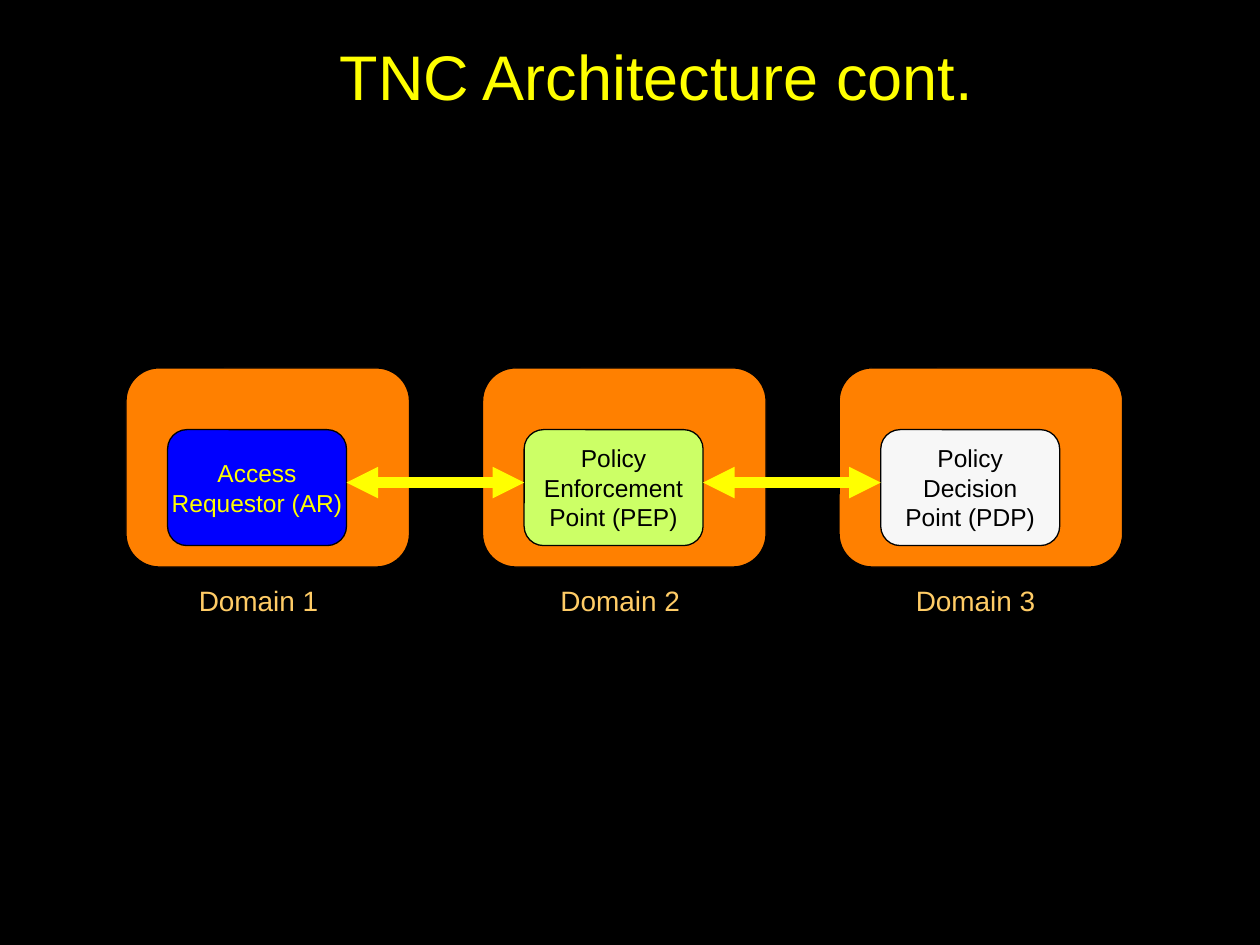
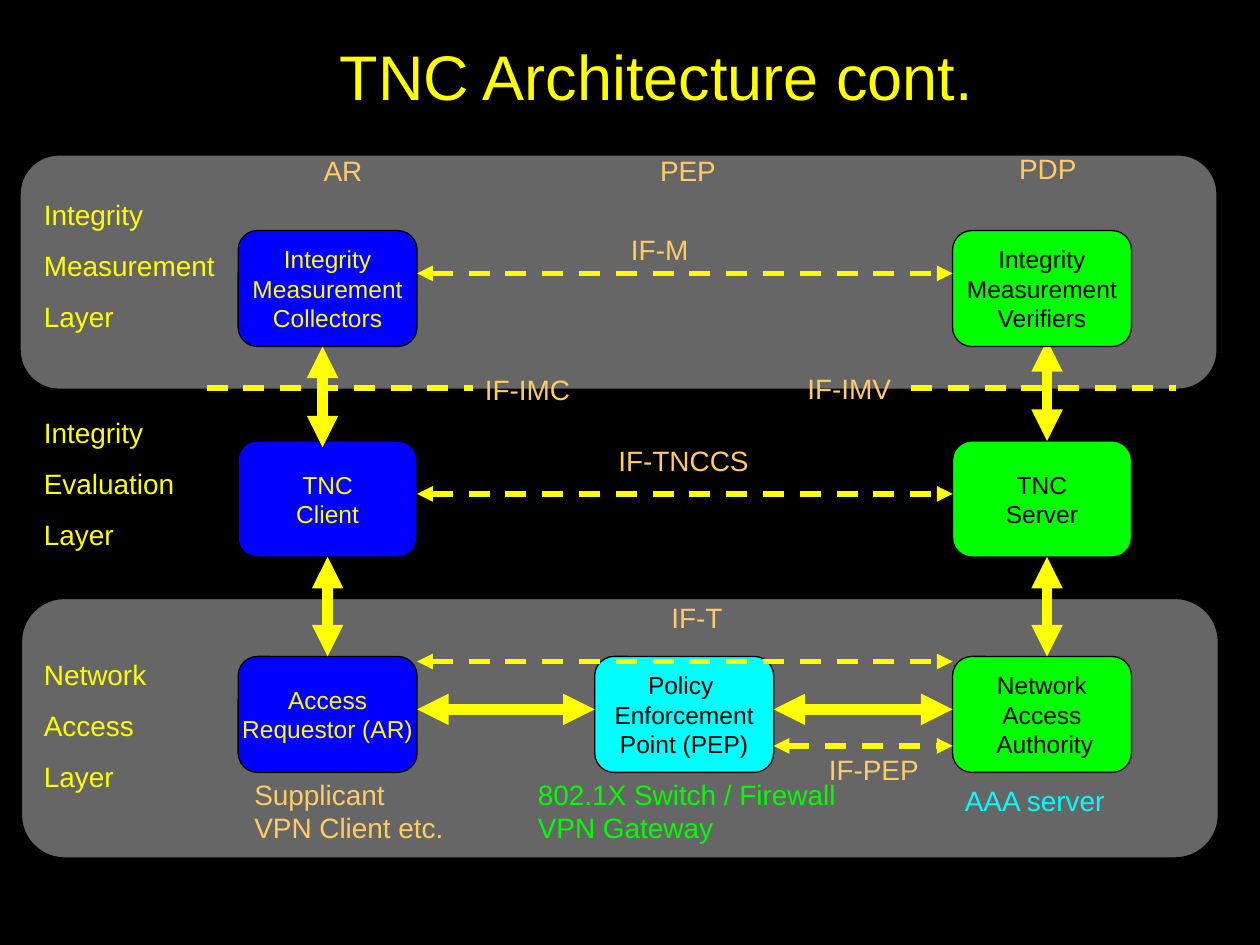
from dataclasses import dataclass

from lxml.etree import SubElement
from pptx import Presentation
from pptx.dml.color import RGBColor
from pptx.enum.dml import MSO_LINE
from pptx.enum.shapes import MSO_CONNECTOR, MSO_SHAPE
from pptx.enum.text import MSO_ANCHOR, MSO_AUTO_SIZE, PP_ALIGN
from pptx.oxml.ns import qn
from pptx.shapes.autoshape import Shape
from pptx.shapes.connector import Connector
from pptx.slide import Slide
from pptx.text.text import TextFrame
from pptx.util import Inches, Pt


@dataclass(frozen=True)
class Theme:
    font: str = "Arial"
    black: str = "000000"
    yellow: str = "FFFF00"
    sand: str = "FFCC66"
    orange: str = "FF8000"
    blue: str = "0000FF"
    lime: str = "CCFF66"
    white: str = "F7F7F7"
    green: str = "00FF00"
    cyan: str = "00FFFF"
    grey: str = "666666"
    title_size: int = 36
    label_size: int = 16
    box_size: int = 14
    outline: float = 0.75
    arrow_width: float = 6
    dash_width: float = 3


THEME = Theme()
TITLE = "TNC Architecture cont."
BOX_WIDTH, BOX_HEIGHT = 1.42, 0.92
LINE_HEIGHT = 0.27


@dataclass(frozen=True)
class Panel:
    """A rounded rectangle without text."""
    left: float
    top: float
    width: float
    height: float
    fill: str


@dataclass(frozen=True)
class Component:
    """A box of the architecture, all of one size."""
    left: float
    top: float
    text: str
    fill: str
    color: str = THEME.black


@dataclass(frozen=True)
class Label:
    left: float
    top: float
    width: float
    text: str
    color: str = THEME.sand
    size: int = THEME.label_size
    align: PP_ALIGN = PP_ALIGN.LEFT
    wrap: bool = False
    gap: float = 0


@dataclass(frozen=True)
class Link:
    start: tuple[float, float]
    end: tuple[float, float]
    dashed: bool = False
    arrows: bool = True


def write_text(frame: TextFrame, text: str, color: str, size: int,
               align: PP_ALIGN, gap: float = 0) -> None:
    for index, line in enumerate(text.split("\n")):
        para = frame.add_paragraph() if index else frame.paragraphs[0]
        para.text = line
        para.alignment = align
        if index and gap:
            para.space_before = Pt(gap)
        para.font.name = THEME.font
        para.font.size = Pt(size)
        para.font.color.rgb = RGBColor.from_string(color)


def add_panel(page: Slide, panel: Panel) -> Shape:
    shape = page.shapes.add_shape(
        MSO_SHAPE.ROUNDED_RECTANGLE, Inches(panel.left), Inches(panel.top),
        Inches(panel.width), Inches(panel.height))
    shape.shadow.inherit = False
    shape.fill.solid()
    shape.fill.fore_color.rgb = RGBColor.from_string(panel.fill)
    shape.line.color.rgb = RGBColor.from_string(THEME.black)
    shape.line.width = Pt(THEME.outline)
    return shape


def add_component(page: Slide, item: Component) -> Shape:
    box = add_panel(page, Panel(item.left, item.top, BOX_WIDTH, BOX_HEIGHT, item.fill))
    frame = box.text_frame
    frame.word_wrap = False
    frame.vertical_anchor = MSO_ANCHOR.MIDDLE
    write_text(frame, item.text, item.color, THEME.box_size, PP_ALIGN.CENTER)
    return box


def add_label(page: Slide, label: Label) -> None:
    height = 0.1 + LINE_HEIGHT * len(label.text.split("\n"))
    box = page.shapes.add_textbox(Inches(label.left), Inches(label.top),
                                  Inches(label.width), Inches(height))
    frame = box.text_frame
    frame.word_wrap = label.wrap
    frame.auto_size = MSO_AUTO_SIZE.SHAPE_TO_FIT_TEXT
    write_text(frame, label.text, label.color, label.size, label.align, label.gap)


def add_link(page: Slide, link: Link) -> Connector:
    points = [Inches(value) for value in (*link.start, *link.end)]
    connector = page.shapes.add_connector(MSO_CONNECTOR.STRAIGHT, *points)
    line = connector.line
    line.color.rgb = RGBColor.from_string(THEME.yellow)
    line.width = Pt(THEME.dash_width if link.dashed else THEME.arrow_width)
    if link.dashed:
        line.dash_style = MSO_LINE.DASH
    properties = connector._element.spPr
    if link.arrows:
        for end in ("a:headEnd", "a:tailEnd"):
            SubElement(properties.find(qn("a:ln")), qn(end), type="triangle")
    SubElement(properties, qn("a:effectLst"))
    return connector


def add_page(deck: Presentation) -> Slide:
    """Add a black page with the shared title."""
    page = deck.slides.add_slide(deck.slide_layouts[6])
    page.background.fill.solid()
    page.background.fill.fore_color.rgb = RGBColor.from_string(THEME.black)
    add_label(page, Label(0.75, 0.25, 8.92, TITLE, THEME.yellow,
                          THEME.title_size, PP_ALIGN.CENTER, wrap=True))
    return page


def build_domains(page: Slide) -> None:
    # Three domains at an equal pitch, each with one component
    first_left, pitch, inset = 1, 2.83, 0.33
    components = [
        ("Access\nRequestor (AR)", THEME.blue, THEME.yellow),
        ("Policy\nEnforcement\nPoint (PEP)", THEME.lime, THEME.black),
        ("Policy\nDecision\nPoint (PDP)", THEME.white, THEME.black),
    ]
    label_lefts = (1.48, 4.35, 7.17)
    for index, (text, fill, color) in enumerate(components):
        left = first_left + index * pitch
        add_panel(page, Panel(left, 2.92, 2.25, 1.58, THEME.orange))
        add_component(page, Component(left + inset, 3.41, text, fill, color))
        add_label(page, Label(label_lefts[index], 4.58, 1.16, f"Domain {index + 1}"))

    # Arrows between neighbouring components
    for index in range(len(components) - 1):
        left = first_left + inset + index * pitch
        add_link(page, Link((left + BOX_WIDTH, 3.83), (left + pitch, 3.83)))


def build_layers(page: Slide) -> None:
    requestor, enforcement, decision = 1.89, 4.72, 7.56
    measurement, evaluation, access = 1.83, 3.5, 5.21
    requestor_right = requestor + BOX_WIDTH
    enforcement_right = enforcement + BOX_WIDTH

    # Bands behind the outer layers
    add_panel(page, Panel(0.16, 1.23, 9.5, 1.86, THEME.grey))
    add_panel(page, Panel(0.17, 4.75, 9.5, 2.06, THEME.grey))

    # Components of the two lower layers
    requestor_box = add_component(page, Component(
        requestor, access, "Access\nRequestor (AR)", THEME.blue, THEME.yellow))
    client_box = add_component(page, Component(
        requestor, evaluation, "TNC\nClient", THEME.blue, THEME.yellow))
    for item in (
        Component(enforcement, access, "Policy \nEnforcement\nPoint (PEP)", THEME.cyan),
        Component(decision, access, "Network\nAccess\n Authority", THEME.green),
        Component(decision, evaluation, "TNC\nServer", THEME.green),
    ):
        add_component(page, item)

    # Solid arrows, with the requestor joined to the client above it
    center = requestor + BOX_WIDTH / 2
    joined = add_link(page, Link((center, access), (center, evaluation + BOX_HEIGHT)))
    joined.begin_connect(requestor_box, 0)
    joined.end_connect(client_box, 2)
    for link in (
        Link((requestor_right, 5.63), (enforcement, 5.63)),
        Link((enforcement_right, 5.63), (decision, 5.63)),
        Link((2.56, 3.55), (2.56, 2.75)),
        Link((8.31, 5.21), (8.31, 4.42)),
        Link((8.31, 3.5), (8.31, 2.7)),
    ):
        add_link(page, link)

    # Components of the top layer, over the arrow tips
    add_component(page, Component(requestor, measurement,
                                  "Integrity\nMeasurement\nCollectors",
                                  THEME.blue, THEME.yellow))
    add_component(page, Component(decision, measurement,
                                  "Integrity\nMeasurement\nVerifiers", THEME.green))

    # Dashed interfaces: peer to peer, then the borders between layers
    for y in (2.17, 3.92, 5.25):
        add_link(page, Link((requestor_right, y), (decision, y), dashed=True))
    add_link(page, Link((enforcement_right, 5.92), (decision, 5.92), dashed=True))
    for left, right in ((1.64, 3.75), (7.23, 9.33)):
        add_link(page, Link((left, 3.08), (right, 3.08), dashed=True, arrows=False))

    # Column heads, interface names and examples
    for label in (
        Label(2.47, 1.17, 0.52, "AR"),
        Label(5.14, 1.17, 0.66, "PEP"),
        Label(7.99, 1.15, 0.67, "PDP"),
        Label(4.91, 1.8, 0.67, "IF-M"),
        Label(3.75, 2.91, 0.89, "IF-IMC"),
        Label(6.31, 2.9, 0.88, "IF-IMV"),
        Label(4.81, 3.47, 1.25, "IF-TNCCS"),
        Label(5.23, 4.72, 0.62, "IF-T"),
        Label(6.48, 5.92, 0.93, "IF-PEP"),
        Label(1.92, 6.12, 1.71, "Supplicant\nVPN Client etc."),
        Label(4.17, 6.12, 2.58, "802.1X Switch / Firewall\nVPN Gateway", THEME.green),
        Label(7.56, 6.17, 1.33, "AAA server", THEME.cyan),
    ):
        add_label(page, label)

    # Layer names
    for top, name in ((1.52, "Integrity\nMeasurement"),
                      (3.25, "Integrity\nEvaluation"),
                      (5.17, "Network\nAccess")):
        add_label(page, Label(0.25, top, 1.68, f"{name}\nLayer", THEME.yellow,
                              wrap=True, gap=10))


def main() -> None:
    deck = Presentation()
    deck.slide_width, deck.slide_height = Inches(10), Inches(7.5)
    build_domains(add_page(deck))
    build_layers(add_page(deck))
    deck.save("out.pptx")


if __name__ == "__main__":
    main()
